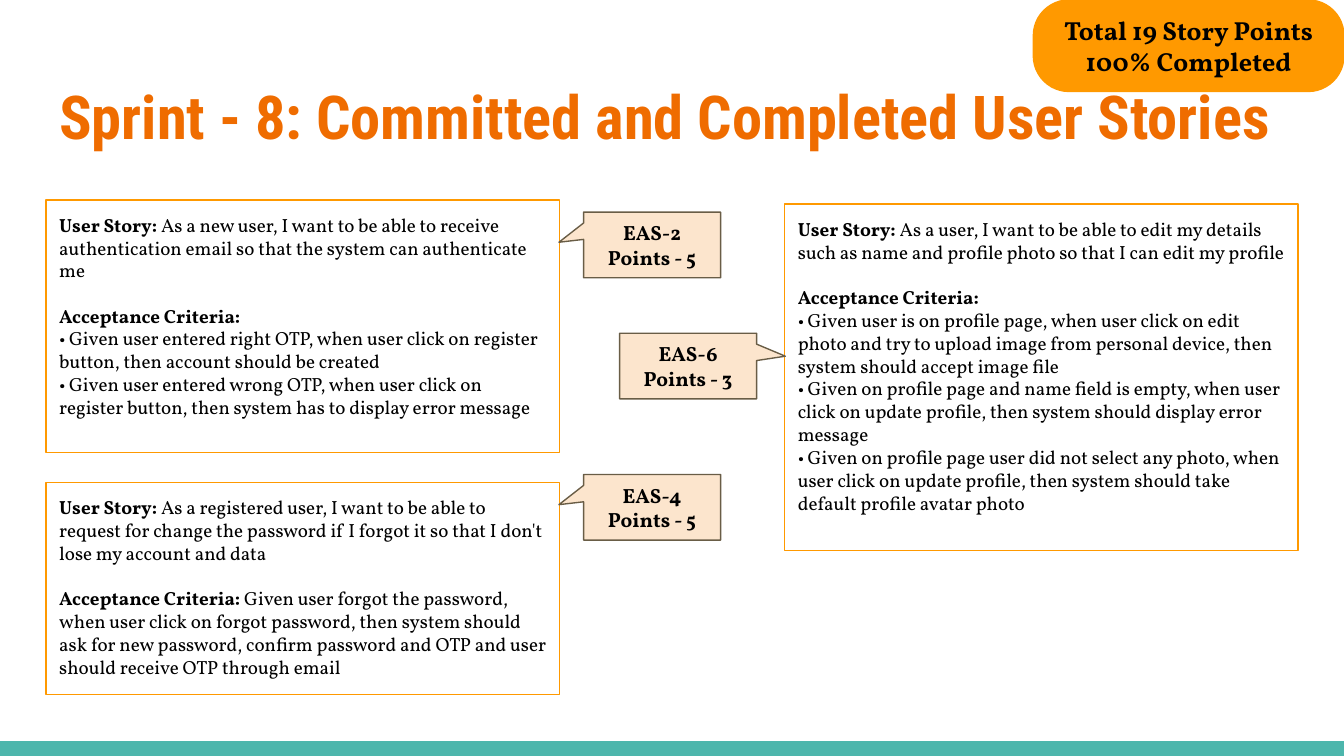
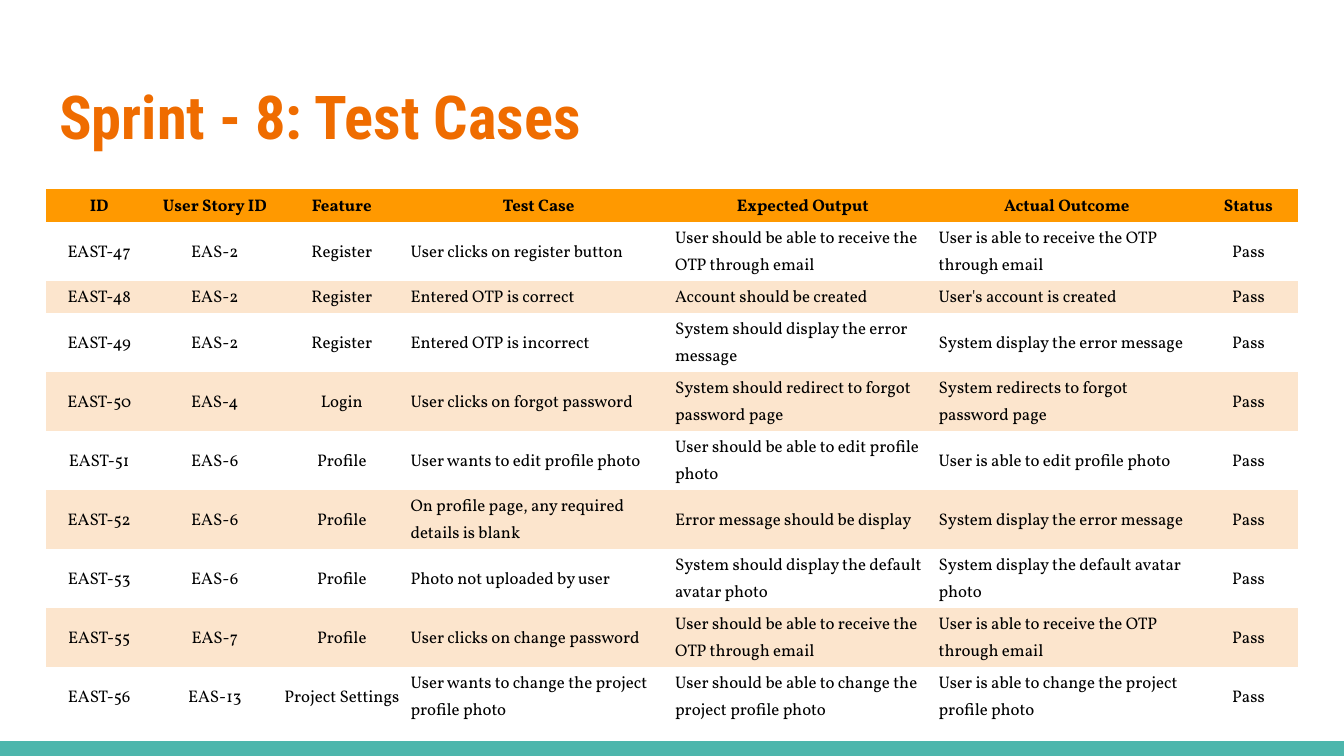
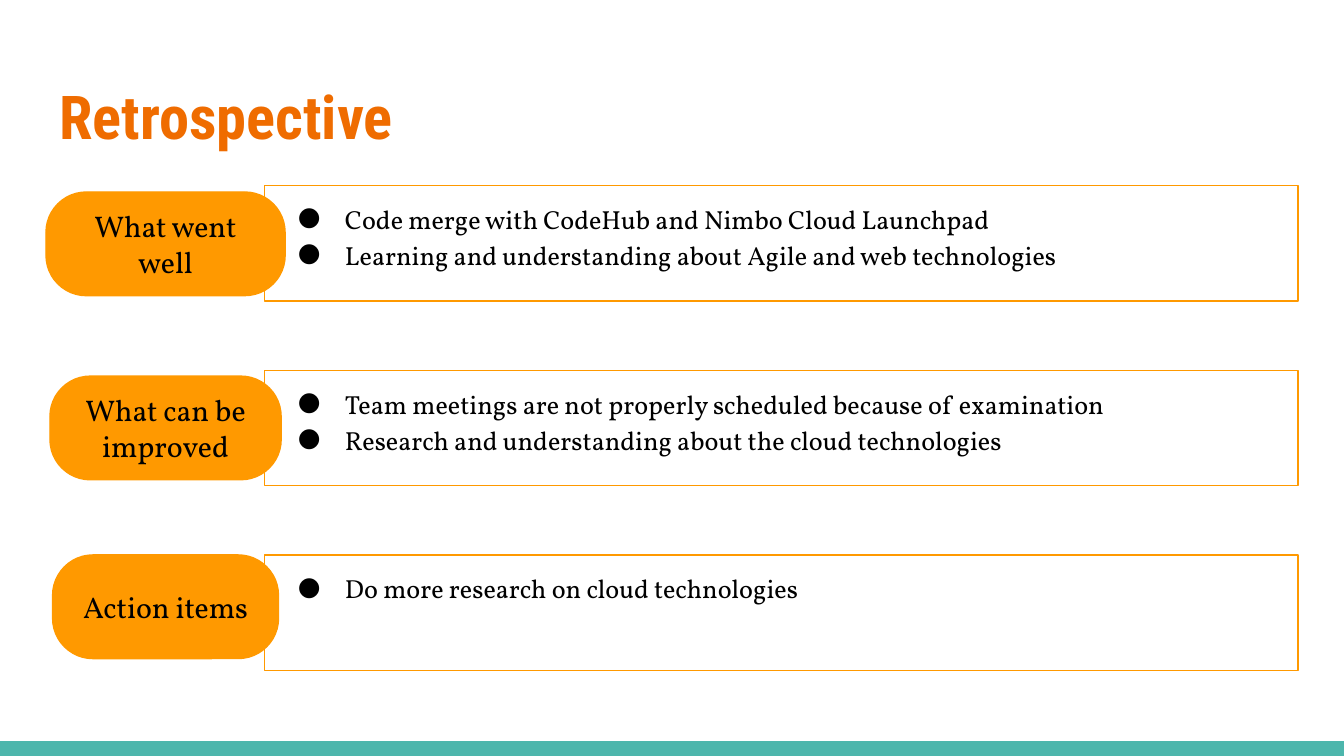
from lxml import etree
from pptx import Presentation
from pptx.dml.color import RGBColor
from pptx.enum.shapes import MSO_SHAPE
from pptx.enum.text import MSO_ANCHOR, MSO_AUTO_SIZE, PP_ALIGN
from pptx.oxml.ns import qn
from pptx.util import Cm, Pt

RECTANGLE = MSO_SHAPE.RECTANGLE
ROUNDED = MSO_SHAPE.ROUNDED_RECTANGLE
CALLOUT = MSO_SHAPE.ROUNDED_RECTANGULAR_CALLOUT
TOP, MIDDLE = MSO_ANCHOR.TOP, MSO_ANCHOR.MIDDLE
LEFT, CENTER = PP_ALIGN.LEFT, PP_ALIGN.CENTER
NO_AUTOFIT = MSO_AUTO_SIZE.NONE

BLACK = RGBColor(0x00, 0x00, 0x00)
ORANGE = RGBColor(0xFF, 0x99, 0x00)
DARK_ORANGE = RGBColor(0xEF, 0x6C, 0x00)
PEACH = RGBColor(0xFC, 0xE5, 0xCD)
BROWN = RGBColor(0x69, 0x5D, 0x46)
TEAL = RGBColor(0x4D, 0xB6, 0xAC)

TITLE_FONT, BODY_FONT = "Roboto Condensed", "Vollkorn"
SLIDE_WIDTH, SLIDE_HEIGHT = 25.4, 14.29
MARGIN = 0.87
CONTENT_WIDTH = 23.67
INSET = 0.25
TITLE_ONLY, COMPARISON = 5, 4
PLAIN_TABLE_STYLE = "{2D5ABB26-0587-4C30-8999-92F81FD0307C}"


class Deck:
    """Holds the shared style and the current slide; lengths are centimetres."""

    def __init__(self):
        self.presentation = Presentation()
        self.presentation.slide_width = Cm(SLIDE_WIDTH)
        self.presentation.slide_height = Cm(SLIDE_HEIGHT)
        self.slide = None

    def new_slide(self, title, layout=TITLE_ONLY):
        first = self.slide is None
        self.slide = self.presentation.slides.add_slide(
            self.presentation.slide_layouts[layout])
        if first:
            self.footer_band()
        shape = self.slide.shapes.title
        self.place(shape, MARGIN, 1.24, CONTENT_WIDTH, 1.96)
        self.frame(shape, TOP)
        shape.text_frame.text = title
        self.style(shape.text_frame.paragraphs[0], 32.4, True, LEFT,
                   DARK_ORANGE, TITLE_FONT)

    def footer_band(self):
        """Draws the band once and moves it to the slide master."""
        band = self.shape(RECTANGLE, 0, 14.01, SLIDE_WIDTH, 0.28, TEAL)
        band.element.nvSpPr.cNvPr.set("id", "20")
        self.presentation.slide_master.shapes.element.append(band.element)

    def place(self, shape, left, top, width, height):
        shape.left, shape.top = Cm(left), Cm(top)
        shape.width, shape.height = Cm(width), Cm(height)

    def frame(self, shape, anchor):
        frame = shape.text_frame
        frame.word_wrap = True
        frame.auto_size = NO_AUTOFIT
        frame.vertical_anchor = anchor
        frame.margin_left = frame.margin_right = Cm(INSET)
        frame.margin_top = frame.margin_bottom = Cm(INSET)

    def style(self, paragraph, size, bold=False, align=LEFT, color=BLACK,
              name=BODY_FONT):
        paragraph.alignment = align
        font = paragraph.font
        font.name, font.size, font.bold = name, Pt(size), bold
        font.color.rgb = color

    def outline(self, shape, color):
        shape.line.color.rgb = color
        shape.line.width = Pt(0.75)

    def shape(self, kind, left, top, width, height, fill=None, line=None):
        shape = self.slide.shapes.add_shape(
            kind, Cm(left), Cm(top), Cm(width), Cm(height))
        shape.shadow.inherit = False
        if fill is None:
            shape.fill.background()
        else:
            shape.fill.solid()
            shape.fill.fore_color.rgb = fill
        if line is None:
            shape.line.fill.background()
        else:
            self.outline(shape, line)
        return shape

    def centered_text(self, shape, lines, size, bold):
        self.frame(shape, MIDDLE)
        shape.text_frame.text = "\n".join(lines)
        for paragraph in shape.text_frame.paragraphs:
            self.style(paragraph, size, bold, CENTER)

    def badge(self, lines, left, top, width, height, size, bold=False):
        shape = self.shape(ROUNDED, left, top, width, height, ORANGE, ORANGE)
        shape.adjustments[0] = 0.39
        self.centered_text(shape, lines, size, bold)

    def callout(self, lines, left, top, tip):
        shape = self.shape(CALLOUT, left, top, 2.59, 1.24, PEACH, BROWN)
        for index, value in enumerate((*tip, 0)):
            shape.adjustments[index] = value
        self.centered_text(shape, lines, 11, True)

    def story_card(self, parts, left, top, height):
        """Each part is a bold label and the text that follows it."""
        card = self.shape(RECTANGLE, left, top, 9.7, height, line=ORANGE)
        self.frame(card, TOP)
        frame = card.text_frame
        for index, (label, text) in enumerate(parts):
            paragraph = frame.add_paragraph() if index else frame.paragraphs[0]
            if index and label:
                paragraph.space_before = Pt(12)
            self.style(paragraph, 10.2)
            if label:
                run = paragraph.add_run()
                run.text = label + " " if text else label
                run.font.bold = True
            if text:
                paragraph.add_run().text = text

    def bullet_box(self, placeholder, items, top):
        self.place(placeholder, 5, top, 19.53, 2.18)
        self.outline(placeholder, ORANGE)
        self.frame(placeholder, TOP)
        placeholder.text_frame.text = "\n".join(items)
        for paragraph in placeholder.text_frame.paragraphs:
            self.bullet(paragraph)
            paragraph.line_spacing = 1.15
            paragraph.space_before = Pt(0)
            self.style(paragraph, 14)

    def bullet(self, paragraph):
        properties = paragraph._p.get_or_add_pPr()
        properties.set("marL", str(Cm(1.27)))
        properties.set("indent", str(Cm(-0.89)))
        color = etree.SubElement(properties, qn("a:buClr"))
        etree.SubElement(color, qn("a:srgbClr"), val=str(BLACK))
        etree.SubElement(properties, qn("a:buFont"), typeface=BODY_FONT)
        etree.SubElement(properties, qn("a:buChar"), char="●")

    def table(self, rows, widths, left_columns, left, top, row_height):
        graphic = self.slide.shapes.add_table(
            len(rows), len(widths), Cm(left), Cm(top),
            Cm(sum(widths)), Cm(row_height * len(rows)))
        for style_id in graphic.element.iter(qn("a:tableStyleId")):
            style_id.text = PLAIN_TABLE_STYLE
        table = graphic.table
        for column, width in zip(table.columns, widths):
            column.width = Cm(width)
        for row_index, row in enumerate(rows):
            header = row_index == 0
            for column_index, text in enumerate(row):
                cell = table.cell(row_index, column_index)
                if row_index % 2:
                    cell.fill.background()
                else:
                    cell.fill.solid()
                    cell.fill.fore_color.rgb = ORANGE if header else PEACH
                cell.vertical_anchor = MIDDLE
                cell.margin_left = cell.margin_right = Cm(0.08)
                cell.margin_top = cell.margin_bottom = Cm(0.05)
                cell.text = text
                paragraph = cell.text_frame.paragraphs[0]
                paragraph.line_spacing = 1.15
                to_left = column_index in left_columns and not header
                self.style(paragraph, 9, header, LEFT if to_left else CENTER)


STORY, CRITERIA = "User Story:", "Acceptance Criteria:"

# Left, top, height and parts of each story card
STORY_CARDS = [
    (MARGIN, 9.12, 4.01, [
        (STORY, "As a registered user, I want to be able to request for change "
                "the password if I forgot it so that I don't lose my account "
                "and data"),
        (CRITERIA, "Given user forgot the password, when user click on forgot "
                   "password, then system should ask for new password, confirm "
                   "password and OTP and user should receive OTP through email"),
    ]),
    (14.83, 3.86, 6.55, [
        (STORY, "As a user, I want to be able to edit my details such as name "
                "and profile photo so that I can edit my profile"),
        (CRITERIA, ""),
        ("", "• Given user is on profile page, when user click on edit photo and "
             "try to upload image from personal device, then system should "
             "accept image file"),
        ("", "• Given on profile page and name field is empty, when user click "
             "on update profile, then system should display error message"),
        ("", "• Given on profile page user did not select any photo, when user "
             "click on update profile, then system should take default profile "
             "avatar photo"),
    ]),
    (MARGIN, 3.78, 4.78, [
        (STORY, "As a new user, I want to be able to receive authentication "
                "email so that the system can authenticate me"),
        (CRITERIA, ""),
        ("", "• Given user entered right OTP, when user click on register "
             "button, then account should be created"),
        ("", "• Given user entered wrong OTP, when user click on register "
             "button, then system has to display error message"),
    ]),
]

# Story, points, left, top and tip of each callout
TIP_LEFT, TIP_RIGHT = (-0.68, -0.04), (0.71, -0.15)
CALLOUTS = [
    ("EAS-2", 5, 11.03, 4.01, TIP_LEFT),
    ("EAS-6", 3, 11.71, 6.3, TIP_RIGHT),
    ("EAS-4", 5, 11.03, 8.97, TIP_LEFT),
]

TEST_COLUMN_WIDTHS = [2.01, 2.36, 2.44, 5, 4.98, 5, 1.87]
TEST_HEADER = ("ID", "User Story ID", "Feature", "Test Case",
               "Expected Output", "Actual Outcome", "Status")
TEST_CASES = [
    ("EAST-47", "EAS-2", "Register", "User clicks on register button",
     "User should be able to receive the OTP through email",
     "User is able to receive the OTP through email"),
    ("EAST-48", "EAS-2", "Register", "Entered OTP is correct",
     "Account should be created", "User's account is created"),
    ("EAST-49", "EAS-2", "Register", "Entered OTP is incorrect",
     "System should display the error message",
     "System display the error message"),
    ("EAST-50", "EAS-4", "Login", "User clicks on forgot password",
     "System should redirect to forgot password page",
     "System redirects to forgot password page"),
    ("EAST-51", "EAS-6", "Profile", "User wants to edit profile photo",
     "User should be able to edit profile photo",
     "User is able to edit profile photo"),
    ("EAST-52", "EAS-6", "Profile",
     "On profile page, any required details is blank",
     "Error message should be display", "System display the error message"),
    ("EAST-53", "EAS-6", "Profile", "Photo not uploaded by user",
     "System should display the default avatar photo",
     "System display the default avatar photo"),
    ("EAST-55", "EAS-7", "Profile", "User clicks on change password",
     "User should be able to receive the OTP through email",
     "User is able to receive the OTP through email"),
    ("EAST-56", "EAS-13", "Project Settings",
     "User wants to change the project profile photo",
     "User should be able to change the project profile photo",
     "User is able to change the project profile photo"),
]

# Label, label top, label width and items of each retrospective row
RETROSPECTIVE = [
    ("What went well", 3.63, 4.52, [
        "Code merge with CodeHub and Nimbo Cloud Launchpad",
        "Learning and understanding about Agile and web technologies"]),
    ("What can be improved", 7.11, 4.37, [
        "Team meetings are not properly scheduled because of examination",
        "Research and understanding about the cloud technologies"]),
    ("Action items", 10.49, 4.27, ["Do more research on cloud technologies"]),
]
LABEL_CENTER = 3.13


def main():
    deck = Deck()

    # User stories
    deck.new_slide("Sprint - 8: Committed and Completed User Stories")
    deck.badge(["Total 19 Story Points", "100% Completed"],
               19.53, 0, 5.87, 1.73, 14, True)
    for left, top, height, parts in STORY_CARDS:
        deck.story_card(parts, left, top, height)
    for story, points, left, top, tip in CALLOUTS:
        deck.callout([story, f"Points - {points}"], left, top, tip)

    # Test cases
    deck.new_slide("Sprint - 8: Test Cases")
    rows = [TEST_HEADER] + [(*case, "Pass") for case in TEST_CASES]
    deck.table(rows, TEST_COLUMN_WIDTHS, (3, 4, 5), MARGIN, 3.58, 0.5)

    # Retrospective
    deck.new_slide("Retrospective", COMPARISON)
    _, *boxes, unused = deck.slide.placeholders
    unused.element.getparent().remove(unused.element)
    for index, (box, row) in enumerate(zip(boxes, RETROSPECTIVE)):
        label, label_top, width, items = row
        deck.bullet_box(box, items, 3.51 + 3.49 * index)
        deck.badge([label], LABEL_CENTER - width / 2, label_top, width, 1.96, 16)

    deck.presentation.save("out.pptx")


if __name__ == "__main__":
    main()
